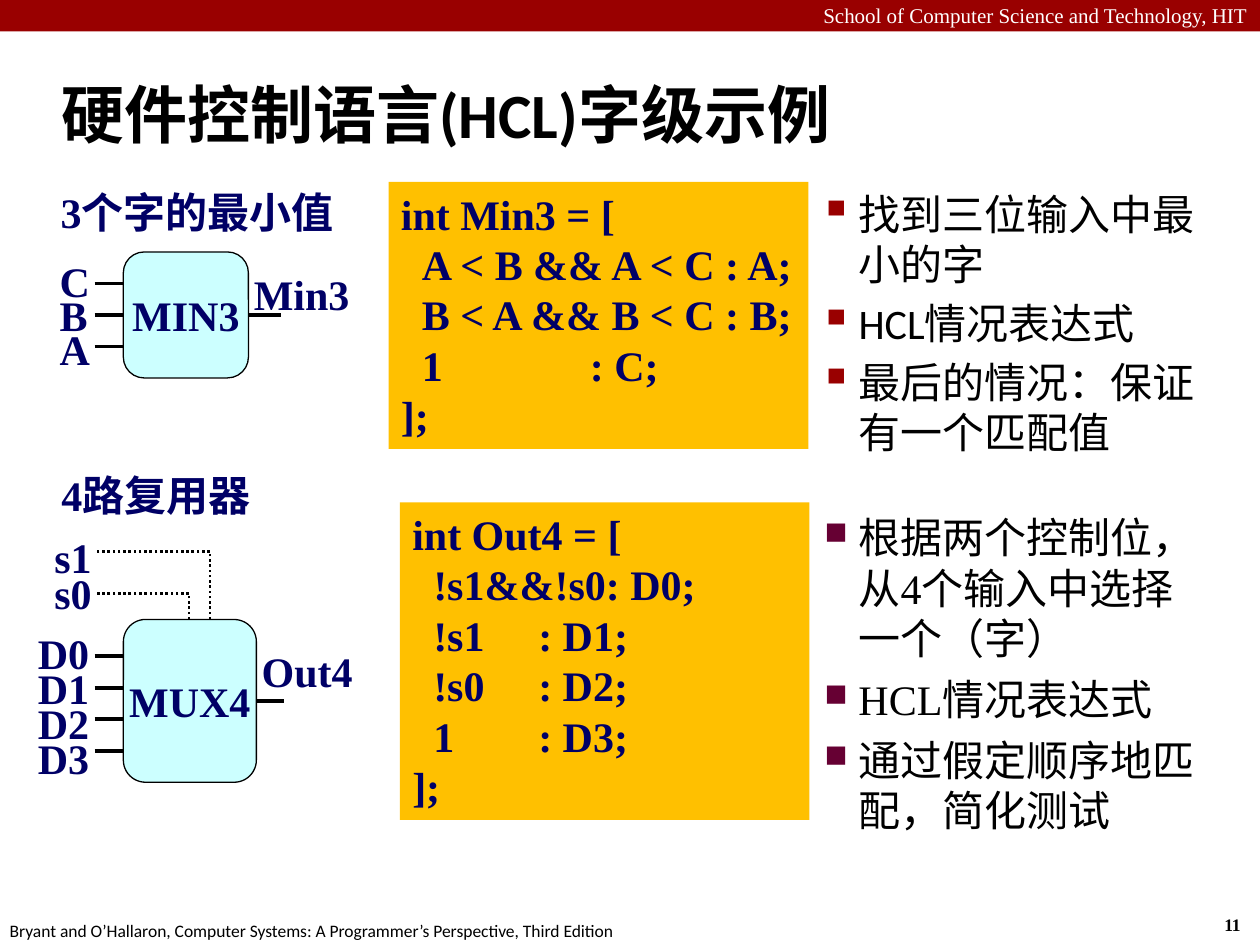
from lxml.etree import SubElement
from pptx import Presentation
from pptx.dml.color import RGBColor
from pptx.enum.dml import MSO_LINE as Dash
from pptx.enum.shapes import MSO_CONNECTOR as Link, MSO_SHAPE as Kind
from pptx.enum.text import MSO_ANCHOR as Anchor, PP_ALIGN as Align
from pptx.oxml.ns import qn
from pptx.util import Pt

RED = RGBColor(0x99, 0x00, 0x00)
WHITE = RGBColor(0xFF, 0xFF, 0xFF)
BLACK = RGBColor(0x00, 0x00, 0x00)
NAVY = RGBColor(0x00, 0x00, 0x66)
GOLD = RGBColor(0xFF, 0xC0, 0x00)
CYAN = RGBColor(0xCC, 0xFF, 0xFF)
PLUM = RGBColor(0x66, 0x00, 0x33)
SERIF, SANS = "Times New Roman", "Calibri"


def write(frame, text, font=SERIF, size=24, color=NAVY, bold=True,
          align=Align.LEFT, anchor=Anchor.TOP, wrap=False, pad=7.2,
          right=None, lead=None, before=None):
    """Fill a text frame, one paragraph per line, and return the paragraphs."""
    frame.word_wrap, frame.vertical_anchor = wrap, anchor
    frame.margin_left = Pt(pad)
    frame.margin_right = Pt(pad if right is None else right)
    frame.margin_top = frame.margin_bottom = Pt(3.6)
    lines = text.split("\n")
    for _ in lines[1:]:
        frame.add_paragraph()
    for para, line in zip(frame.paragraphs, lines):
        para.alignment = align
        if lead:
            para.line_spacing = lead
        if before:
            para.space_before = Pt(before)
        run = para.add_run()
        run.text = line
        run.font.name, run.font.size = font, Pt(size)
        run.font.bold, run.font.color.rgb = bold, color
    return frame.paragraphs


class Deck:
    def __init__(self):
        self.file = Presentation()
        self.file.slide_width, self.file.slide_height = Pt(720), Pt(540)
        self.page = self.file.slides.add_slide(self.file.slide_layouts[6])
        self.shapes = self.page.shapes

    def label(self, text, x, y, w, h=36, **style):
        box = self.shapes.add_textbox(Pt(x), Pt(y), Pt(w), Pt(h))
        return write(box.text_frame, text, **style)

    def block(self, kind, x, y, w, h, fill, line=None):
        box = self.shapes.add_shape(kind, Pt(x), Pt(y), Pt(w), Pt(h))
        box.shadow.inherit = False
        box.fill.solid()
        box.fill.fore_color.rgb = fill
        if line:
            box.line.color.rgb, box.line.width = line, Pt(0.75)
        else:
            box.line.fill.background()
        return box

    def code(self, text, x, y, w, h):
        """Code panel: inner lines are indented, tabs are 36 pt apart."""
        box = self.block(Kind.RECTANGLE, x, y, w, h, GOLD)
        paras = write(box.text_frame, text, wrap=True, right=0)
        for para in paras[1:-1]:
            props = para._p.get_or_add_pPr()
            props.set("marL", "0")
            props.set("indent", str(Pt(12)))
            props.set("defTabSz", str(Pt(36)))

    def points(self, text, x, y, w, h, mark, color, scale, hang, **style):
        """Bulleted list with a hanging indent."""
        for para in self.label(text, x, y, w, h, color=BLACK, bold=False,
                               wrap=True, **style):
            props = para._p.get_or_add_pPr()
            props.set("marL", str(Pt(58.5)))
            props.set("indent", str(Pt(-hang)))
            tint = SubElement(props, qn("a:buClr"))
            SubElement(tint, qn("a:srgbClr"), val=str(color))
            SubElement(props, qn("a:buSzPct"), val=str(scale * 1000))
            SubElement(props, qn("a:buChar"), char=mark)

    def wire(self, x1, y1, x2, y2):
        line = self.shapes.add_connector(Link.STRAIGHT, Pt(x1), Pt(y1),
                                         Pt(x2), Pt(y2))
        line.line.color.rgb, line.line.width = BLACK, Pt(2.25)
        SubElement(line._element.spPr, qn("a:effectLst"))
        return line

    def dots(self, *spots):
        """Dotted open path through the given spots."""
        spots = [(Pt(x), Pt(y)) for x, y in spots]
        form = self.shapes.build_freeform(*spots[0])
        form.add_line_segments(spots[1:], close=False)
        path = form.convert_to_shape()
        path.shadow.inherit = False
        path.fill.background()
        path.line.color.rgb, path.line.width = BLACK, Pt(1.5)
        path.line.dash_style = Dash.ROUND_DOT

    def gate(self, name, y, w, h, pins, pin, first, tag, step, out, end, rise):
        """Gate with input pins 18 pt apart and one output.

        pin is the y of the first wire; first and tag place its label;
        rise lifts the output label above the output wire.
        """
        x, mid = 70.5, y + h / 2
        box = self.block(Kind.ROUNDED_RECTANGLE, x, y, w, h, CYAN, BLACK)
        write(box.text_frame, name, align=Align.CENTER, anchor=Anchor.MIDDLE)
        for i, text in enumerate(pins):
            level = pin + 18 * i
            line = self.wire(54, level, x, level)
            if level == mid:
                line.end_connect(box, 1)
            self.label(text, tag, first + step * i, 14 + 15 * len(text))
        self.wire(x + w, mid, end, mid).begin_connect(box, 3)
        self.label(out, x + w - 4, mid - rise, 69)


def main():
    deck = Deck()
    deck.block(Kind.RECTANGLE, 0, 0, 720, 18, RED)
    deck.label("School of Computer Science and Technology, HIT", 0, -2, 720, 22,
               size=12, color=WHITE, bold=False, align=Align.RIGHT, wrap=True)
    deck.label("11", 692.5, 519, 27, 19, size=10, color=BLACK)
    deck.label("Bryant and O’Hallaron, Computer Systems: "
               "A Programmer’s Perspective, Third Edition", -1.5, 522, 366, 19,
               font=SANS, size=10, color=BLACK, bold=False)
    deck.label("硬件控制语言(HCL)字级示例", 28, 34.5, 692, 60, font=SANS,
               size=36, color=BLACK, anchor=Anchor.MIDDLE, wrap=True)

    deck.points("找到三位输入中最小的字\nHCL情况表达式\n"
                "最后的情况：保证有一个匹配值", 425, 104, 286.5, 180,
                "▪", RED, 110, 22.5, font=SANS, before=4.8)
    deck.code("int Min3 = [\nA < B && A < C : A;\nB < A && B < C : B;\n"
              "1\t\t\t: C;\n];", 222, 104, 240, 152.5)
    deck.points("根据两个控制位，从4个输入中选择一个（字）\nHCL情况表达式\n"
                "通过假定顺序地匹配，简化测试", 425, 289, 276.5, 210,
                "■", PLUM, 75, 19.5, before=6)
    deck.code("int Out4 = [\n!s1&&!s0: D0;\n!s1\t: D1;\n!s0\t: D2;\n"
              "1\t\t: D3;\n];", 228.5, 287, 234, 181.5)

    head = dict(w=188, h=33, pad=3.6, lead=0.9, wrap=True)
    deck.label("3个字的最小值", 31, 106.5, **head)
    deck.gate("MIN3", 144, 71.5, 72, ["C", "B", "A"], pin=162, first=142.5,
              tag=27, step=19.5, out="Min3", end=160.5, rise=30)

    deck.label("4路复用器", 31.5, 268, **head)
    for text, y, x, level in (("s1", 300, 120, 315), ("s0", 321, 108, 339)):
        deck.label(text, 24, y, 36)
        deck.dots((x, 354), (x, level), (54, level))
    deck.gate("MUX4", 354, 76, 93, ["D0", "D1", "D2", "D3"], pin=375, first=355,
              tag=14.5, step=20, out="Out4", end=162, rise=35)
    deck.file.save("out.pptx")


if __name__ == "__main__":
    main()
